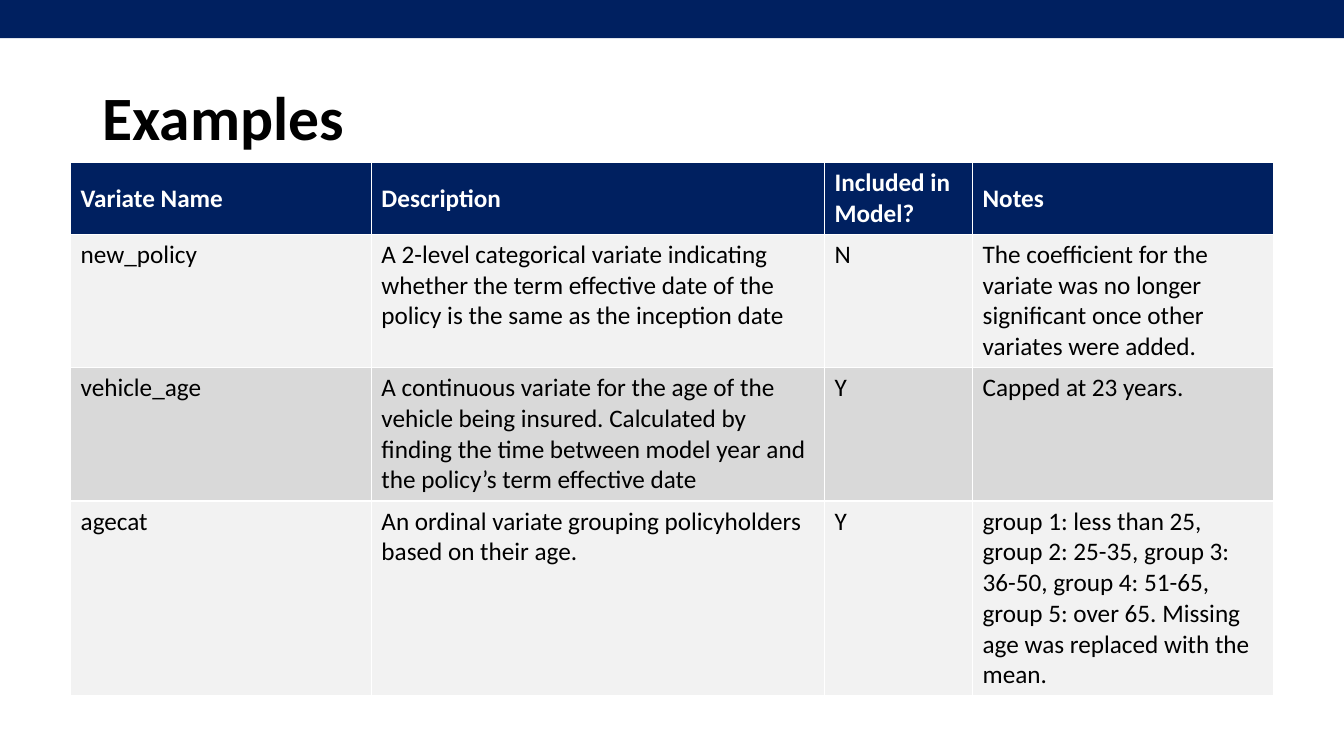
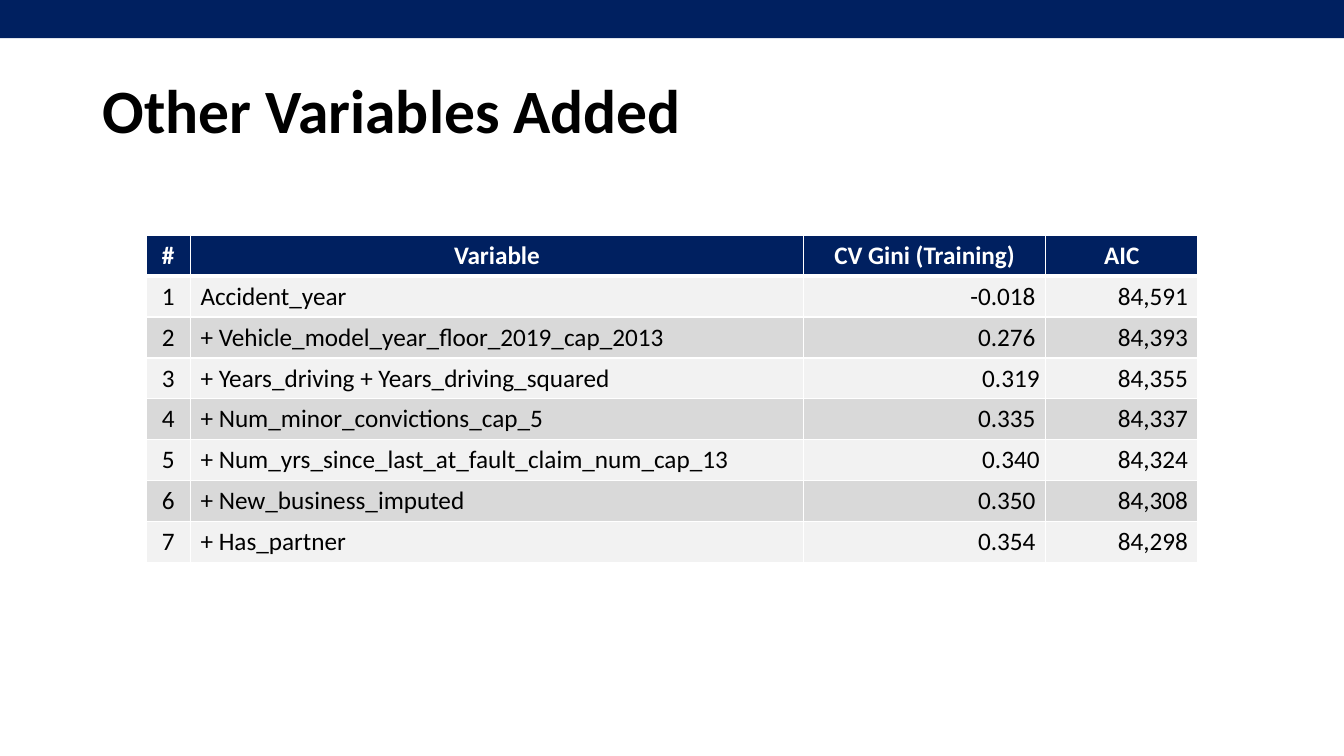
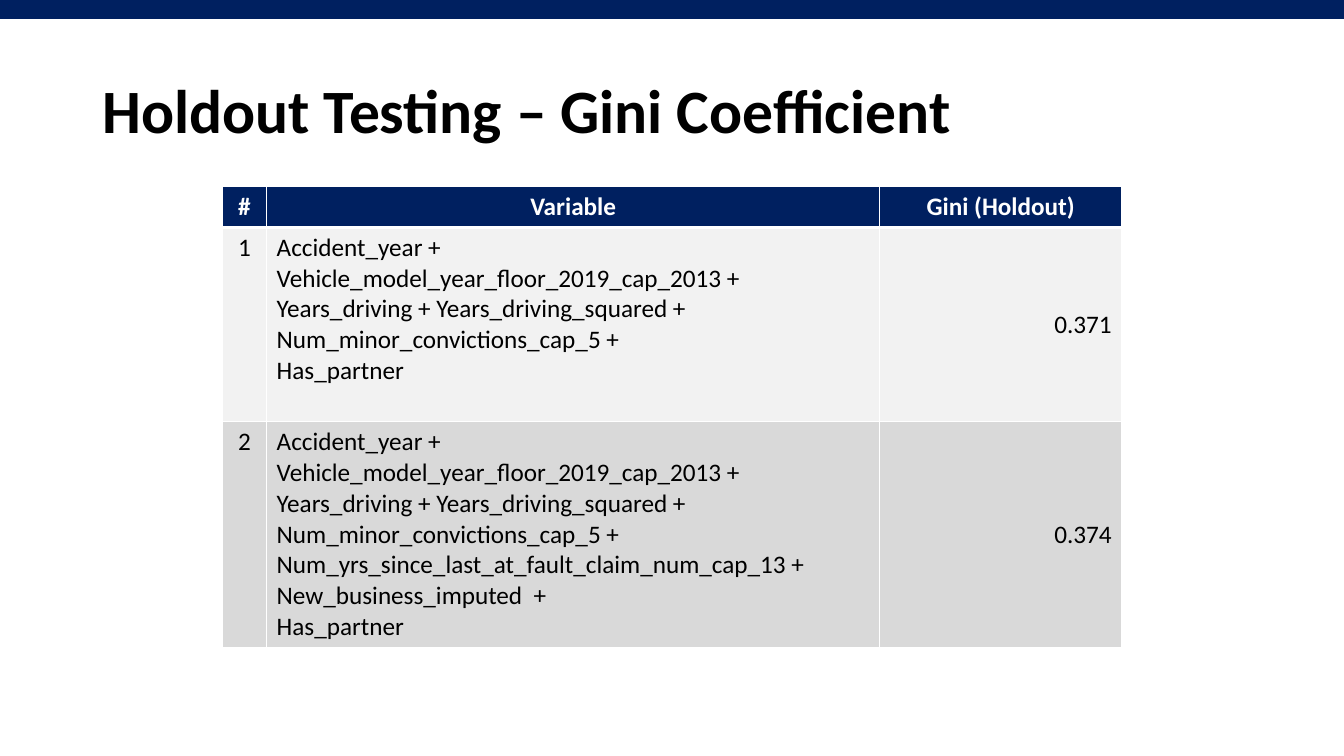
from lxml import etree
from pptx import Presentation
from pptx.dml.color import RGBColor
from pptx.enum.shapes import MSO_SHAPE
from pptx.enum.text import MSO_ANCHOR, PP_ALIGN
from pptx.oxml.ns import qn
from pptx.util import Cm, Pt

RECT = MSO_SHAPE.RECTANGLE
TOP, MID = MSO_ANCHOR.TOP, MSO_ANCHOR.MIDDLE
LEFT, CENTER, RIGHT = PP_ALIGN.LEFT, PP_ALIGN.CENTER, PP_ALIGN.RIGHT
NAVY = RGBColor(0x00, 0x20, 0x60)
WHITE = RGBColor(0xFF, 0xFF, 0xFF)
BLACK = RGBColor(0x00, 0x00, 0x00)
BANDS = (RGBColor(0xF2, 0xF2, 0xF2), RGBColor(0xD9, 0xD9, 0xD9))
FONT = "Calibri"
WIDE, HIGH = 33.87, 19.05
LINE = 1.03

VARIATES = [
    ("Variate Name", "Description", "Included in Model?", "Notes"),
    ("new_policy",
     "A 2-level categorical variate indicating whether the term effective "
     "date of the policy is the same as the inception date",
     "N",
     "The coefficient for the variate was no longer significant once other "
     "variates were added."),
    ("vehicle_age",
     "A continuous variate for the age of the vehicle being insured. "
     "Calculated by finding the time between model year and the policy’s "
     "term effective date",
     "Y", "Capped at 23 years."),
    ("agecat",
     "An ordinal variate grouping policyholders based on their age.",
     "Y",
     "group 1: less than 25, group 2: 25-35, group 3: 36-50, group 4: 51-65, "
     "group 5: over 65. Missing age was replaced with the mean."),
]
STEPS = [
    ("#", "Variable", "CV Gini (Training)", "AIC"),
    ("1", "Accident_year", "-0.018", "84,591"),
    ("2", "+ Vehicle_model_year_floor_2019_cap_2013", "0.276", "84,393"),
    ("3", "+ Years_driving + Years_driving_squared", "0.319", "84,355"),
    ("4", "+ Num_minor_convictions_cap_5", "0.335", "84,337"),
    ("5", "+ Num_yrs_since_last_at_fault_claim_num_cap_13", "0.340", "84,324"),
    ("6", "+ New_business_imputed", "0.350", "84,308"),
    ("7", "+ Has_partner", "0.354", "84,298"),
]
BASE = ("Accident_year + Vehicle_model_year_floor_2019_cap_2013 +\n"
        "Years_driving + Years_driving_squared +\n"
        "Num_minor_convictions_cap_5 +\n")
EXTRA = ("Num_yrs_since_last_at_fault_claim_num_cap_13 +\n"
         "New_business_imputed  +\n")
MODELS = [
    ("#", "Variable", "Gini (Holdout)"),
    ("1", BASE + "Has_partner", "0.371"),
    ("2", BASE + EXTRA + "Has_partner", "0.374"),
]


def write(para, text, size, color, bold):
    """Add one formatted run to a paragraph."""
    run = para.add_run()
    run.text = text
    font = run.font
    font.name, font.size, font.bold = FONT, Pt(size), bold
    font.color.rgb = color


def edge(cell, side, width):
    """Draw one white border on a cell."""
    props = cell._tc.get_or_add_tcPr()
    line = etree.SubElement(props, qn("a:ln" + side), w=str(Pt(width)))
    fill = etree.SubElement(line, qn("a:solidFill"))
    etree.SubElement(fill, qn("a:srgbClr"), val=str(WHITE))


def add_title(slide, text, box):
    """Place and format the title placeholder."""
    title = slide.shapes.title
    title.left, title.top, title.width, title.height = map(Cm, box)
    frame = title.text_frame
    frame.word_wrap, frame.vertical_anchor = True, MID
    para = frame.paragraphs[0]
    para.alignment, para.line_spacing = LEFT, 0.9
    write(para, text, 44, BLACK, True)


def add_band(slide, height):
    """Draw the navy band along the top edge."""
    band = slide.shapes.add_shape(RECT, 0, 0, Cm(WIDE), Cm(height))
    band.shadow.inherit = False
    band.fill.solid()
    band.fill.fore_color.rgb = NAVY
    band.line.fill.background()


def fill_cell(cell, text, row, align, rule):
    """Fill one cell with its borders, colour and text."""
    head = row == 0
    edge(cell, "L", 1)
    edge(cell, "R", 1)
    edge(cell, "T", rule if row == 1 else 1)
    edge(cell, "B", rule if head else 1)
    cell.fill.solid()
    cell.fill.fore_color.rgb = NAVY if head else BANDS[(row - 1) % 2]
    frame = cell.text_frame
    for i, part in enumerate(text.split("\n")):
        para = frame.add_paragraph() if i else frame.paragraphs[0]
        para.alignment = align
        write(para, part, 18, WHITE if head else BLACK, head)


def add_grid(slide, data, spot, cols, rows, aligns, top=CENTER, rule=3):
    """Build a banded table with its corner at the given spot."""
    left, y = spot
    frame = slide.shapes.add_table(len(rows), len(cols), Cm(left), Cm(y),
                                   Cm(sum(cols)), Cm(sum(rows)))
    grid = frame.table
    grid.horz_banding = False
    for col, width in zip(grid.columns, cols):
        col.width = Cm(width)
    for r, (row, height) in enumerate(zip(grid.rows, rows)):
        row.height = Cm(height)
        for cell, text, align in zip(row.cells, data[r], aligns):
            fill_cell(cell, text, r, align if r else top, rule)
    return grid


def new_slide(deck, title, box, band):
    """Add a titled slide with its top band."""
    slide = deck.slides.add_slide(deck.slide_layouts[5])
    add_title(slide, title, box)
    add_band(slide, band)
    return slide


def add_examples(deck):
    """Build the slide of variate examples."""
    slide = new_slide(deck, "Examples", (2.33, 1.02, 22.96, 4.01), 0.96)
    grid = add_grid(slide, VARIATES, (1.78, 4.1), (7.58, 11.42, 3.73, 7.58),
                    (1.79, 3.36, 3.36, 4.9), [LEFT] * 4, LEFT, 1)
    for cell in grid.rows[0].cells:
        cell.vertical_anchor = MID


def add_steps(deck, box):
    """Build the slide of variables added step by step."""
    slide = new_slide(deck, "Other Variables Added", box, 0.96)
    grid = add_grid(slide, STEPS, (3.68, 5.93), (1.12, 15.45, 6.1, 3.84),
                    [LINE] * len(STEPS), (CENTER, LEFT, RIGHT, RIGHT))
    for row in (3, 5):
        cell = grid.cell(row, 2)
        cell.vertical_anchor = MID
        cell.margin_left = cell.margin_right = Cm(0.15)
        cell.margin_top = cell.margin_bottom = Cm(0.05)


def add_holdout(deck, box):
    """Build the slide of holdout results."""
    slide = new_slide(deck, "Holdout Testing – Gini Coefficient", box, 0.48)
    grid = add_grid(slide, MODELS, (5.6, 4.7), (1.12, 15.45, 6.1),
                    (LINE, 4.9, 5.68), (CENTER, LEFT, RIGHT))
    for row in (1, 2):
        grid.cell(row, 2).vertical_anchor = MID


def main():
    """Build and save the deck."""
    deck = Presentation()
    deck.slide_width, deck.slide_height = Cm(WIDE), Cm(HIGH)
    box = (2.33, 1.02, 29.21, 3.68)
    add_examples(deck)
    add_steps(deck, box)
    add_holdout(deck, box)
    deck.save("out.pptx")


if __name__ == "__main__":
    main()
